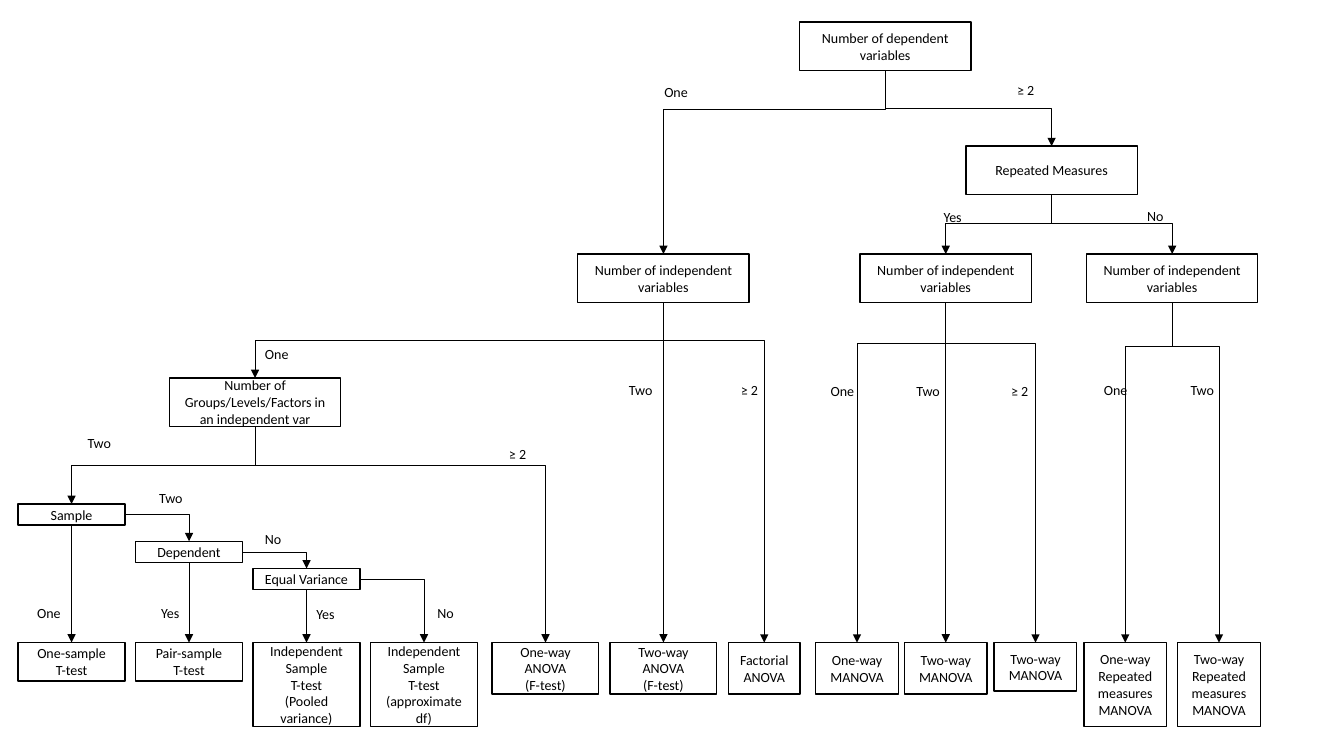
from dataclasses import dataclass
from pptx import Presentation
from pptx.dml.color import RGBColor as RGB
from pptx.enum.shapes import MSO_CONNECTOR as LINK, MSO_SHAPE as SHAPE
from pptx.enum.text import MSO_ANCHOR as ANCHOR, PP_ALIGN as ALIGN
from pptx.oxml import parse_xml
from pptx.oxml.ns import nsdecls, qn
from pptx.util import Inches, Pt


@dataclass(frozen=True)
class Theme:
    """Colours, font and sizes of the chart."""
    ink: RGB = RGB(0, 0, 0)
    paper: RGB = RGB(255, 255, 255)
    font: str = "Calibri"
    size: int = Pt(10)
    edge: int = Pt(1)
    wire: int = Pt(0.5)


theme = Theme()
deck = Presentation()
deck.slide_width, deck.slide_height = Inches(13.33), Inches(7.5)
slide = deck.slides.add_slide(deck.slide_layouts[6])
shapes = slide.shapes
CELL = deck.slide_height / 75  # square grid: 75 rows, 133.3 columns


def put(text, x, y, wide, high, framed=True, align=ALIGN.CENTER, anchor=ANCHOR.MIDDLE):
    """Write text at a grid place, in a framed box or a plain one."""
    place = [round(n * CELL) for n in (x, y, wide, high)]
    if framed:
        item = shapes.add_shape(SHAPE.RECTANGLE, *place)
        item.shadow.inherit = False
        item.fill.solid()
        item.fill.fore_color.rgb = theme.paper
        item.line.color.rgb = theme.ink
        item.line.width = theme.edge
    else:
        item = shapes.add_textbox(*place)
    frame = item.text_frame
    frame.word_wrap = True
    frame.vertical_anchor = anchor
    frame.text = text
    for para in frame.paragraphs:
        para.alignment = align
        font = para.runs[0].font
        font.name, font.size, font.color.rgb = theme.font, theme.size, theme.ink


def link(x1, y1, x2, y2, bus=None):
    """Draw an arrow: straight, down to a bus row, or across and then down."""
    kind = LINK.STRAIGHT if x1 == x2 else LINK.ELBOW
    ends = x1, y1, x2, y2
    turned = bus is not None and x1 != x2
    if turned:  # a turned elbow swaps its width and height about its centre
        long, span = y2 - y1, abs(x2 - x1)
        left, top = (x1 + x2 - long) / 2, (y1 + y2 - span) / 2
        ends = left, top, left + long, top + span
    wire = shapes.add_connector(kind, *[round(n * CELL) for n in ends])
    wire.line.color.rgb, wire.line.width = theme.ink, theme.wire
    props = wire._element.spPr
    shape = props.find(qn("a:prstGeom"))
    if turned:
        frame = props.find(qn("a:xfrm"))
        frame.set("rot", str((90 if x2 < x1 else 270) * 60000))
        if x2 > x1:
            frame.set("flipH", "1")
        bend = round((bus - y1) / long * 100000)
        guide = parse_xml(f'<a:gd {nsdecls("a")} name="adj1" fmla="val {bend}"/>')
        shape.find(qn("a:avLst")).append(guide)
    elif x1 != x2:
        shape.set("prst", "bentConnector2")
    head = parse_xml(f'<a:tailEnd {nsdecls("a")} type="triangle"/>')
    props.find(qn("a:ln")).append(head)
    props.append(parse_xml(f'<a:effectLst {nsdecls("a")}/>'))


# Box sizes, and the row where all the tests stand
BIG, SLIM, LEAF = (17, 4.8), (10.6, 2.1), 63.75
TEST, POOL, NOVA = (10.6, 3.8), (10.6, 8.3), (10.6, 5.1)
MULTI, REPEAT = (8.2, 5.1), (8.2, 8.3)
step = [7.1 + 11.65 * i for i in range(4)]
count = "Number of independent variables"

# Each box: text, centre column, top row, size
boxes = {
    "root": ("Number of dependent variables", 87.8, 2.2, BIG),
    "again": ("Repeated Measures", 104.3, 14.5, BIG),
    "single": (count, 65.8, 25.2, BIG),
    "many": (count, 93.8, 25.2, BIG),
    "other": (count, 116.25, 25.2, BIG),
    "groups": ("Number of Groups/Levels/Factors in an independent var", 25.3, 37.5, BIG),
    "sample": ("Sample", step[0], 50, SLIM),
    "paired": ("Dependent", step[1], 53.7, SLIM),
    "equal": ("Equal Variance", step[2], 56.4, SLIM),
    "t one": ("One-sample\nT-test", step[0], LEAF, TEST),
    "t pair": ("Pair-sample\nT-test", step[1], LEAF, TEST),
    "t pool": ("Independent Sample\nT-test\n(Pooled variance)", step[2], LEAF, POOL),
    "t near": ("Independent Sample\nT-test\n(approximate df)", step[3], LEAF, POOL),
    "f one": ("One-way ANOVA\n(F-test)", 54.1, LEAF, NOVA),
    "f two": ("Two-way ANOVA\n(F-test)", 65.8, LEAF, NOVA),
    "f more": ("Factorial\nANOVA", 75.8, LEAF, (7.1, 5.1)),
    "m one": ("One-way\nMANOVA", 85, LEAF, MULTI),
    "m two": ("Two-way\nMANOVA", 93.8, LEAF, MULTI),
    "m more": ("Two-way\nMANOVA", 102.7, LEAF, (8.2, 4.8)),
    "r one": ("One-way\nRepeated measures\nMANOVA", 111.6, LEAF, REPEAT),
    "r two": ("Two-way\nRepeated measures\nMANOVA", 120.9, LEAF, REPEAT),
}
for text, mid, top, (wide, high) in boxes.values():
    put(text, mid - wide / 2, top, wide, high)

# Downward branches: parent, bus row, children
trees = [
    ("root", 10.8, ["single", "again"]),
    ("again", 22.2, ["many", "other"]),
    ("single", 33.75, ["groups", "f two", "f more"]),
    ("many", 34.05, ["m one", "m two", "m more"]),
    ("other", 34.4, ["r one", "r two"]),
    ("groups", 46.2, ["sample", "f one"]),
    ("sample", None, ["t one"]),
    ("paired", None, ["t pair"]),
    ("equal", None, ["t pool"]),
]
for source, bus, goals in trees:
    text, mid, top, (wide, high) = boxes[source]
    for goal in goals:
        link(mid, top + high, boxes[goal][1], boxes[goal][2], bus)

# Sideways steps: out of the right edge, then down
for source, goal in [("sample", "paired"), ("paired", "equal"), ("equal", "t near")]:
    text, mid, top, (wide, high) = boxes[source]
    link(mid + wide / 2, top + high / 2, boxes[goal][1], boxes[goal][2])

# Answers beside the arrows: left column and top row
answers = {
    "One": [(64.9, 7.8), (25.3, 33.8), (81.4, 37.5), (108.5, 37.4), (2.7, 59.5)],
    "Two": [(61.4, 37.4), (89.9, 37.5), (117.1, 37.4), (7.7, 42.6), (14.8, 48.1)],
    "≥ 2": [(99.9, 7.6), (72.5, 37.4), (99.3, 37.5), (49.5, 43.7)],
    "Yes": [(92.6, 20.2), (15, 59.5), (30.4, 59.6)],
    "No": [(112.8, 20.1), (25.3, 52.1), (42.4, 59.5)],
}
for text, spots in answers.items():
    for x, y in spots:
        put(text, x, y, 5, 2.7, framed=False, align=ALIGN.LEFT, anchor=ANCHOR.TOP)

deck.save("out.pptx")
